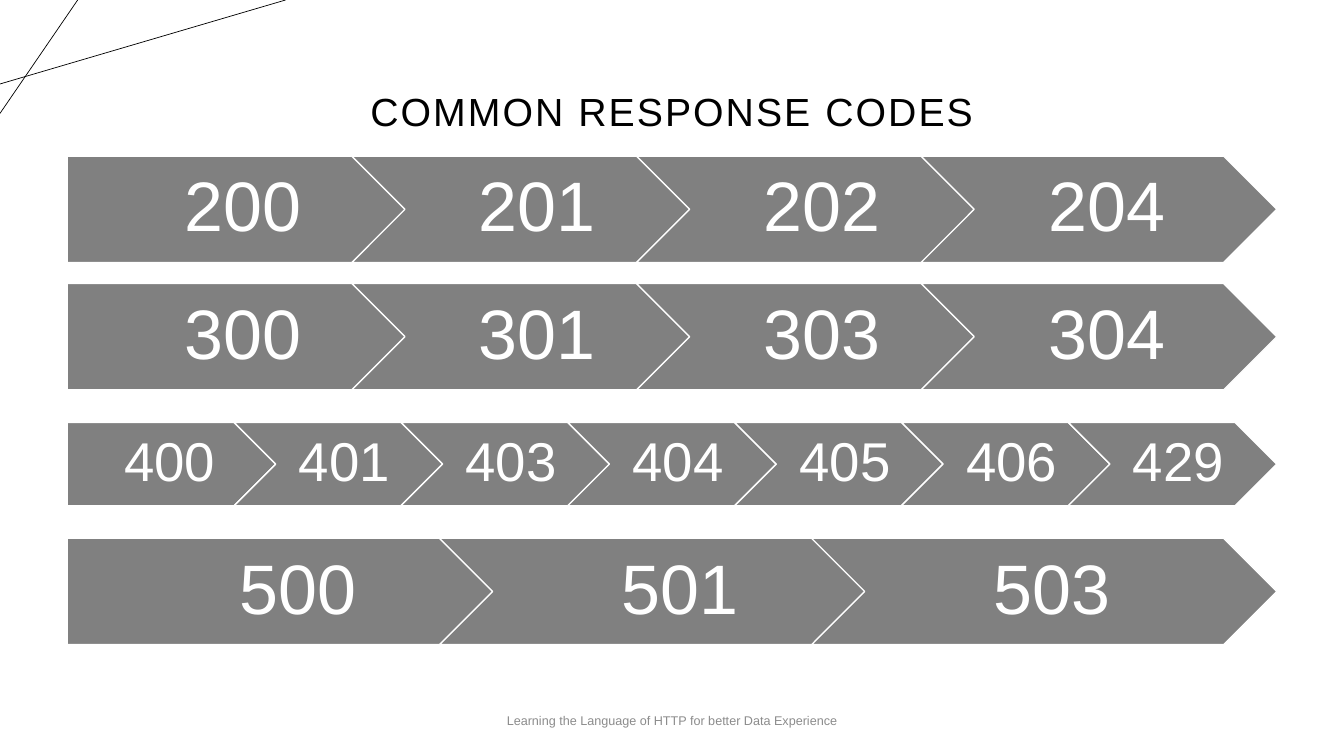
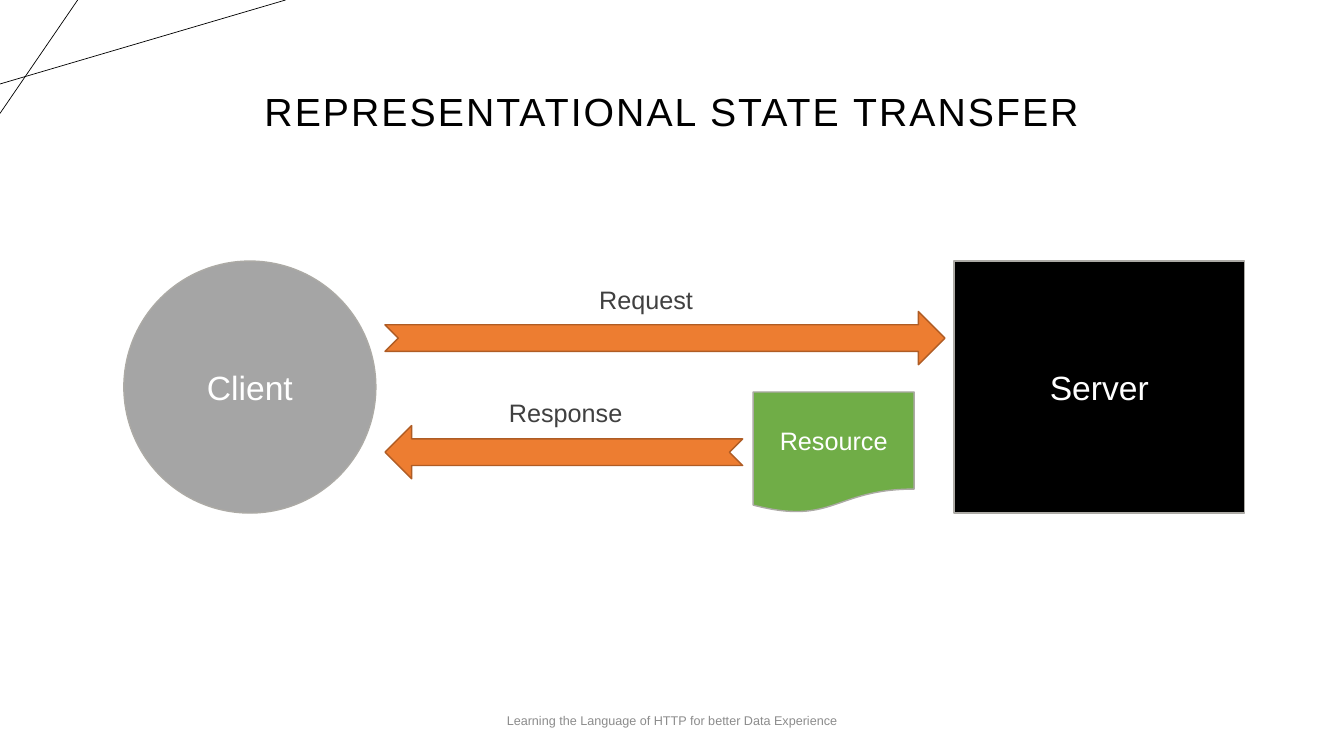
from lxml import etree
from pptx import Presentation
from pptx.dml.color import RGBColor
from pptx.enum import shapes, text
from pptx.oxml import ns
from pptx.util import Pt

BLACK = RGBColor(0x00, 0x00, 0x00)
WHITE = RGBColor(0xFF, 0xFF, 0xFF)
GRAY = RGBColor(0x80, 0x80, 0x80)
LIGHT_GRAY = RGBColor(0xA5, 0xA5, 0xA5)
OUTLINE = RGBColor(0xAC, 0xAA, 0xA5)
ORANGE = RGBColor(0xED, 0x7D, 0x31)
BROWN = RGBColor(0xAF, 0x5C, 0x24)
GREEN = RGBColor(0x70, 0xAD, 0x47)
LABEL = RGBColor(0x40, 0x40, 0x40)
FOOTER = RGBColor(0x8C, 0x8C, 0x8C)
KIND = shapes.MSO_SHAPE
FONT = "Arial"
FOOTER_TEXT = "Learning the Language of HTTP for better Data Experience"


def write(box, words, size=18, color=WHITE, anchor=text.MSO_ANCHOR.MIDDLE,
          leading=1.0, tracking=None, insets=(7.2, 3.6, 7.2, 3.6)):
    frame = box.text_frame
    frame.word_wrap = True
    frame.auto_size = text.MSO_AUTO_SIZE.NONE
    frame.vertical_anchor = anchor
    frame.margin_left, frame.margin_top, frame.margin_right, frame.margin_bottom = map(Pt, insets)
    para = frame.paragraphs[0]
    para.alignment = text.PP_ALIGN.CENTER
    para.line_spacing = leading
    span = para.add_run()
    span.text = words
    span.font.name = FONT
    span.font.size = Pt(size)
    span.font.color.rgb = color
    if tracking:
        span._r.get_or_add_rPr().set("spc", str(round(tracking * 100)))


def add_block(page, kind, place, fill, outline):
    block = page.shapes.add_shape(kind, *map(Pt, place))
    block.shadow.inherit = False
    block.fill.solid()
    block.fill.fore_color.rgb = fill
    block.line.color.rgb = outline
    block.line.width = Pt(1)
    return block


deck = Presentation()
deck.slide_width, deck.slide_height = Pt(960), Pt(540)

pages = []
for heading in ("COMMON RESPONSE CODES", "REPRESENTATIONAL STATE TRANSFER"):
    page = deck.slides.add_slide(deck.slide_layouts[5])
    for ends in ((0, 60, 204, 0), (55.5, 0, 0, 81)):
        line = page.shapes.add_connector(shapes.MSO_CONNECTOR.STRAIGHT, *map(Pt, ends))
        line.line.color.rgb = BLACK
        line.line.width = Pt(0.5)
        etree.SubElement(line._element.spPr, ns.qn("a:effectLst"))
    title = page.shapes.title
    title.left, title.top, title.width, title.height = map(Pt, (66, 28.8, 828, 104.4))
    write(title, heading, size=28, color=BLACK, leading=0.9, tracking=1.5)
    footer = page.shapes.add_textbox(*map(Pt, (318, 500.5, 324, 28.8)))
    write(footer, FOOTER_TEXT, size=9, color=FOOTER)
    pages.append(page)

codes_page, rest_page = pages

CODE_ROWS = (
    ("200", "201", "202", "204"),
    ("300", "301", "303", "304"),
    ("400", "401", "403", "404", "405", "406", "429"),
    ("500", "501", "503"),
)
ROW_LEFT, ROW_WIDTH = 48, 864
FIRST_MIDDLE, ROW_PITCH = 149.5, 91
STEP_SHARE = 0.8

for row, codes in enumerate(CODE_ROWS):
    width = ROW_WIDTH / (1 + STEP_SHARE * (len(codes) - 1))
    height = min(76, 0.4 * width)
    size = 50 if height == 76 else 39
    top = FIRST_MIDDLE + row * ROW_PITCH - height / 2
    for column, code in enumerate(codes):
        kind = KIND.CHEVRON if column else KIND.PENTAGON
        left = ROW_LEFT + column * STEP_SHARE * width
        step = add_block(codes_page, kind, (left, top, width, height), GRAY, WHITE)
        left_inset = size * (0.32 if column else 0.42)
        write(step, code, size=size, leading=0.9,
              insets=(left_inset, size * 0.21, size * 0.1, size * 0.21))

for kind, place, fill, words, size in (
    (KIND.FLOWCHART_CONNECTOR, (88.5, 186.5, 180, 180), LIGHT_GRAY, "Client", 24),
    (KIND.FLOWCHART_PROCESS, (681.5, 186.5, 207.5, 180), BLACK, "Server", 24),
    (KIND.FLOWCHART_DOCUMENT, (538, 280, 115, 86.5), GREEN, "Resource", 18),
):
    write(add_block(rest_page, kind, place, fill, OUTLINE), words, size=size)

for words, top, width, turn, label_left, label_top in (
    ("Request", 222.5, 400, 0, 401.5, 199.5),
    ("Response", 304, 255.5, 180, 344, 280.5),
):
    arrow = add_block(rest_page, KIND.NOTCHED_RIGHT_ARROW, (275, top, width, 38), ORANGE, BROWN)
    arrow.rotation = turn
    label = rest_page.shapes.add_textbox(*map(Pt, (label_left, label_top, 120, 29)))
    write(label, words, color=LABEL, anchor=text.MSO_ANCHOR.TOP)

deck.save("out.pptx")
